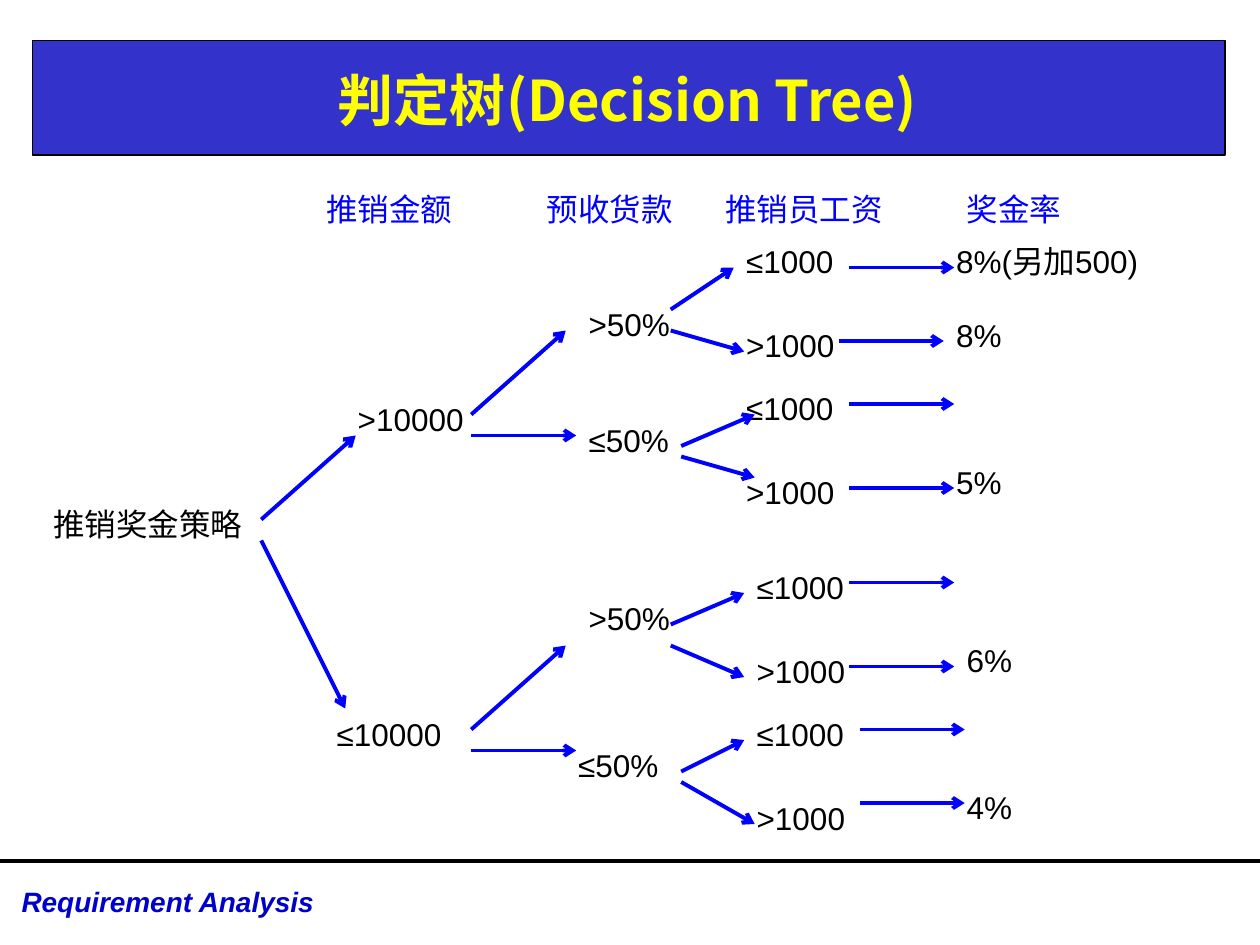
from lxml.etree import SubElement
from pptx import Presentation
from pptx.dml.color import RGBColor
from pptx.enum.shapes import MSO_CONNECTOR as Line, MSO_SHAPE as Shape
from pptx.enum.text import MSO_ANCHOR as Anchor, MSO_AUTO_SIZE as Fit, PP_ALIGN as Align
from pptx.oxml.ns import qn
from pptx.util import Inches, Pt

COLS, ROWS = 120, 90
SANS, CJK = "Arial", "Noto Sans CJK SC"
BLACK, BLUE = "000000", "0000FF"


def color(value):
    """Turn a hex string into a colour."""
    return RGBColor.from_string(value)


class Canvas:
    """Holds the style, the grid and the current slide."""

    def __init__(self, prs):
        """Add a blank slide and measure its grid."""
        self.s = prs.slides.add_slide(prs.slide_layouts[6])
        self.col, self.row = prs.slide_width / COLS, prs.slide_height / ROWS
        self.dx, self.dy = Inches(-0.01), Inches(0.04)

    def x(self, col):
        """Return the left offset of a column."""
        return round(col * self.col + self.dx)

    def y(self, row):
        """Return the top offset of a row."""
        return round(row * self.row + self.dy)

    def band(self, col, row, cols, rows, fill):
        """Draw a filled band with a thin outline."""
        sp = self.s.shapes.add_shape(Shape.RECTANGLE, self.x(col), self.y(row),
                                     round(cols * self.col), round(rows * self.row))
        sp.shadow.inherit = False
        sp.fill.solid()
        sp.fill.fore_color.rgb = color(fill)
        sp.line.color.rgb = color(BLACK)
        sp.line.width = Pt(0.75)

    def text(self, text, col, row, cols, rows=4.8, size=18, font=SANS, ink=BLACK,
             bold=False, italic=False, hanging=True, centered=False):
        """Write one line of text in a box on the grid."""
        sp = self.s.shapes.add_textbox(self.x(col), self.y(row),
                                       round(cols * self.col), round(rows * self.row))
        tf = sp.text_frame
        tf.text, tf.word_wrap = text, True
        p = tf.paragraphs[0]
        if centered:
            tf.vertical_anchor, p.alignment = Anchor.MIDDLE, Align.CENTER
        else:
            tf.auto_size = Fit.SHAPE_TO_FIT_TEXT
        if hanging:
            pPr = p._p.get_or_add_pPr()
            pPr.set("marL", str(Inches(0.38)))
            pPr.set("indent", str(Inches(-0.38)))
        r = p.runs[0]
        r.font.name, r.font.size = font, Pt(size)
        r.font.bold, r.font.italic = bold, italic
        r.font.color.rgb = color(ink)
        SubElement(r._r.get_or_add_rPr(), qn("a:ea"), typeface=CJK)

    def line(self, x1, y1, x2, y2, ink):
        """Draw a straight line between two points of the slide."""
        c = self.s.shapes.add_connector(Line.STRAIGHT, x1, y1, x2, y2)
        c.line.color.rgb = color(ink)
        c.line.width = Pt(2.25)
        SubElement(c._element.spPr, qn("a:effectLst"))
        return c

    def arrow(self, col1, row1, col2, row2):
        """Draw a blue branch with an open head between grid points."""
        c = self.line(self.x(col1), self.y(row1), self.x(col2), self.y(row2), BLUE)
        SubElement(c.line._get_or_add_ln(), qn("a:tailEnd"), type="arrow")


HEADINGS = [("推销金额", 30, 18), ("预收货款", 51, 18),
            ("推销员工资", 68, 21.2), ("奖金率", 91, 18)]
AMOUNTS = [("推销奖金策略", 4, 47, 23.4), (">10000", 33, 37, 18.8), ("≤10000", 31, 67, 17.2)]
PREPAID = [(">50%", 55, 28), ("≤50%", 55, 39), (">50%", 55, 56), ("≤50%", 54, 70)]
SALARIES = [(70, 22, 30), (70, 36, 44), (71, 53, 61), (71, 67, 75)]
RATES = [("8%(另加500)", 90, 22, 24.5), ("8%", 90, 29, 21), ("5%", 90, 43, 21),
         ("6%", 91, 60, 21), ("4%", 91, 74, 21)]
BRANCHES = [(25, 49, 34, 41), (25, 51, 33, 67),
            (45, 39, 54, 31), (45, 41, 55, 41), (45, 69, 54, 61), (45, 71, 55, 71),
            (64, 29, 70, 25), (64, 31, 71, 33), (65, 42, 72, 39), (65, 43, 72, 45),
            (64, 59, 71, 56), (64, 61, 71, 64), (65, 73, 71, 70), (65, 74, 72, 78)]
RESULTS = [(81, 25), (80, 32), (81, 38), (81, 46), (81, 55), (81, 63), (82, 69), (82, 76)]


def main():
    """Build the decision tree slide."""
    prs = Presentation()
    prs.slide_width, prs.slide_height = Inches(10), Inches(7.5)
    tree = Canvas(prs)
    tree.band(3.2, 3.4, 113.6, 10.9, "3333CC")
    tree.line(0, Inches(6.83), prs.slide_width, Inches(6.83), BLACK)
    tree.text("Requirement Analysis", 1, 83.2, 35, 4.4, size=16, ink="0000CC",
              bold=True, italic=True, hanging=False)
    tree.text("判定树(Decision Tree)", 3.2, 3.8, 113.4, 10.4, size=32, font=CJK,
              ink="FFFF00", bold=True, hanging=False, centered=True)
    for label, col, cols in HEADINGS:
        tree.text(label, col, 17, cols, 5.3, font=CJK, ink=BLUE)
    for label, col, row, cols in AMOUNTS:
        tree.text(label, col, row, cols, 5.3)
    for label, col, row in PREPAID:
        tree.text(label, col, row, 13)
    for col, low, high in SALARIES:
        tree.text("≤1000", col, low, 13)
        tree.text(">1000", col, high, 13)
    for label, col, row, cols in RATES:
        tree.text(label, col, row, cols)
    for branch in BRANCHES:
        tree.arrow(*branch)
    for col, row in RESULTS:
        tree.arrow(col, row, col + 10, row)
    prs.save("out.pptx")


if __name__ == "__main__":
    main()
